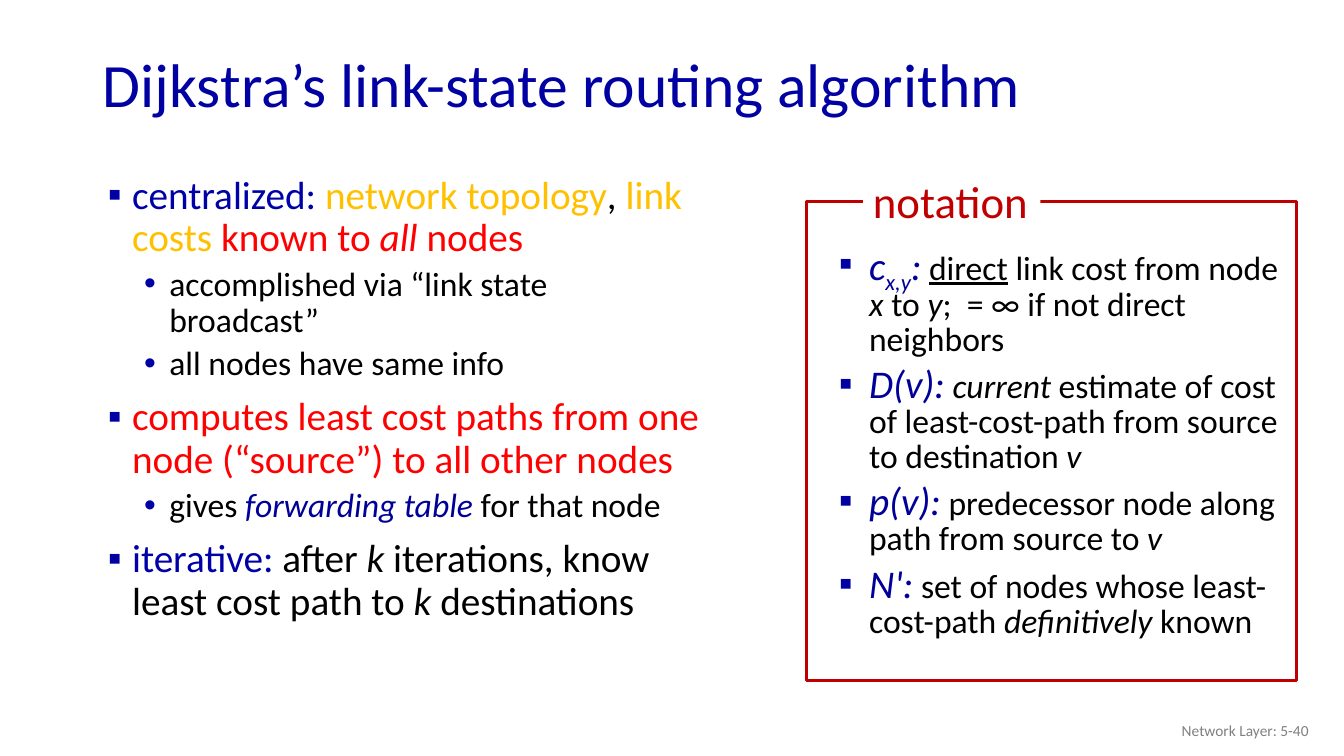
from lxml import etree
from pptx import Presentation
from pptx.dml.color import RGBColor
from pptx.enum.shapes import MSO_SHAPE
from pptx.enum.text import MSO_ANCHOR, MSO_AUTO_SIZE, PP_ALIGN
from pptx.oxml.ns import qn
from pptx.util import Inches, Pt

RECTANGLE = MSO_SHAPE.RECTANGLE
MIDDLE, TOP = MSO_ANCHOR.MIDDLE, MSO_ANCHOR.TOP
LEFT, RIGHT = PP_ALIGN.LEFT, PP_ALIGN.RIGHT
NO_AUTOFIT = MSO_AUTO_SIZE.NONE
FONT = "Calibri"
COLORS = {
    "title": "0000A3", "key": "0000A8", "term": "000099", "text": "000000",
    "gold": "FFC000", "red": "FF0000", "frame": "C00000", "gray": "808080",
    "white": "FFFFFF",
}
# Each style: bullet, bullet colour, indent, hanging, line spacing, space before, size
MAIN = ("▪", "title", 0.39, 0.24, 0.9, 10, 28)
SUB = ("•", "key", 0.76, 0.25, 0.9, 5, 24)
NOTE = ("▪", "title", 0.44, 0.3, 0.85, 6, 24)

ALGORITHM = [
    (MAIN, [("centralized: ", "key"), ("network topology", "gold"), (", ", "text"),
            ("link costs", "gold"), (" known to ", "red"), ("all", "red", "i"),
            (" nodes", "red")]),
    (SUB, [("accomplished via “link state broadcast”", "text")]),
    (SUB, [("all nodes have same info", "text")]),
    (MAIN, [("computes least cost paths from one node (“source”) to all other nodes",
             "red")]),
    (SUB, [("gives ", "text"), ("forwarding table", "term", "i"),
           (" for that node", "text")]),
    (MAIN, [("iterative: ", "key"), ("after ", "text"), ("k", "text", "i"),
            (" iterations, know least cost path to ", "text"), ("k ", "text", "i"),
            ("destinations", "text")]),
]
NOTATION = [
    (NOTE, [("c", "term", "iL"), ("x,y", "term", "iLs"), (":", "term", "iL"),
            (" ", "text", "i"), ("direct", "text", "u"),
            (" link cost from node ", "text"), ("x", "text", "i"), (" to ", "text"),
            ("y", "text", "i"), (";  = ∞ if not direct neighbors", "text")]),
    (NOTE, [("D(v):", "term", "iL"), (" current", "text", "i"),
            (" estimate of cost of least-cost-path from source to destination ", "text"),
            ("v", "text", "i")]),
    (NOTE, [("p(v):", "term", "iL"), (" ", "text", "i"),
            ("predecessor node along path from source to ", "text"),
            ("v", "text", "i")]),
    (NOTE, [("N':", "term", "iL"), (" ", "text", "i"),
            ("set of nodes whose least-cost-path ", "text"),
            ("definitively", "text", "i"), (" known", "text")]),
]


def color(name):
    """Return the named colour."""
    return RGBColor.from_string(COLORS[name])


def place(shape, left, top, width, height):
    """Move a shape to a box given in inches."""
    shape.left, shape.top = Inches(left), Inches(top)
    shape.width, shape.height = Inches(width), Inches(height)


def format_run(run, size, color_name, flags=""):
    """Format a run; flags are i italic, u underline, s subscript."""
    font = run.font
    font.name, font.size = FONT, Pt(size)
    font.color.rgb = color(color_name)
    font.italic = "i" in flags
    font.underline = "u" in flags
    if "s" in flags:
        run._r.get_or_add_rPr().set("baseline", "-25000")


def set_line(shape, text, size, color_name, alignment):
    """Write one vertically centred line of text."""
    frame = shape.text_frame
    frame.text = text
    frame.vertical_anchor = MIDDLE
    frame.auto_size = NO_AUTOFIT
    paragraph = frame.paragraphs[0]
    paragraph.alignment = alignment
    format_run(paragraph.runs[0], size, color_name)


def format_bullet(paragraph, style):
    """Apply bullet, indents and spacing to a paragraph."""
    bullet, bullet_color, indent, hanging, line_spacing, before, _ = style
    paragraph.level = 1 if style is SUB else 0
    paragraph.line_spacing = line_spacing
    paragraph.space_before, paragraph.space_after = Pt(before), Pt(0)
    properties = paragraph._p.get_or_add_pPr()
    properties.set("marL", str(Inches(indent)))
    properties.set("indent", str(-Inches(hanging)))
    bullet_fill = etree.SubElement(properties, qn("a:buClr"))
    etree.SubElement(bullet_fill, qn("a:srgbClr"), val=COLORS[bullet_color])
    etree.SubElement(properties, qn("a:buFont"), typeface="Arial")
    etree.SubElement(properties, qn("a:buChar"), char=bullet)


def fill_list(placeholder, box, items):
    """Place a body placeholder and write its bulleted paragraphs."""
    place(placeholder, *box)
    frame = placeholder.text_frame
    frame.word_wrap, frame.auto_size = True, NO_AUTOFIT
    frame.vertical_anchor = TOP
    for index, (style, runs) in enumerate(items):
        paragraph = frame.add_paragraph() if index else frame.paragraphs[0]
        format_bullet(paragraph, style)
        for text, color_name, *flags in runs:
            run = paragraph.add_run()
            run.text = text
            flags = "".join(flags)
            format_run(run, 28 if "L" in flags else style[-1], color_name, flags)


def add_title(slide, left, top, width, height):
    """Place and write the slide title."""
    title = slide.shapes.title
    place(title, left, top, width, height)
    set_line(title, "Dijkstra’s link-state routing algorithm", 44, "title", LEFT)
    title.text_frame.paragraphs[0].line_spacing = 0.9


def add_notation(slide, left, top, width, height):
    """Build the framed notation list with its label on the top edge."""
    fill_list(slide.placeholders[2], (left + 0.08, top + 0.37, 4.71, 4.63), NOTATION)
    frame = slide.shapes.add_shape(RECTANGLE, Inches(left), Inches(top),
                                   Inches(width), Inches(height))
    frame.shadow.inherit = False
    frame.fill.background()
    frame.line.color.rgb = color("frame")
    frame.line.width = Pt(2.25)
    label = slide.shapes.add_textbox(Inches(left + 0.56), Inches(top - 0.33),
                                     Inches(1.76), Inches(0.64))
    label.fill.solid()
    label.fill.fore_color.rgb = color("white")
    set_line(label, "notation", 32, "frame", LEFT)


def add_footer(slide, left, top, width, height):
    """Write the right-aligned page label."""
    footer = slide.shapes.add_textbox(Inches(left), Inches(top),
                                      Inches(width), Inches(height))
    footer.text_frame.word_wrap = True
    set_line(footer, "Network Layer: 5-40", 11, "gray", RIGHT)


def main():
    """Build and save the slide."""
    presentation = Presentation()
    presentation.slide_width = Inches(13.33)
    presentation.slide_height = Inches(7.5)
    slide = presentation.slides.add_slide(presentation.slide_layouts[3])
    add_title(slide, 0.92, 0.38, 10.76, 0.98)
    add_footer(slide, 10.08, 7.05, 3, 0.4)
    fill_list(slide.placeholders[1], (0.82, 1.69, 6.24, 5.36), ALGORITHM)
    add_notation(slide, 8, 2, 4.86, 4.75)
    presentation.save("out.pptx")


if __name__ == "__main__":
    main()
